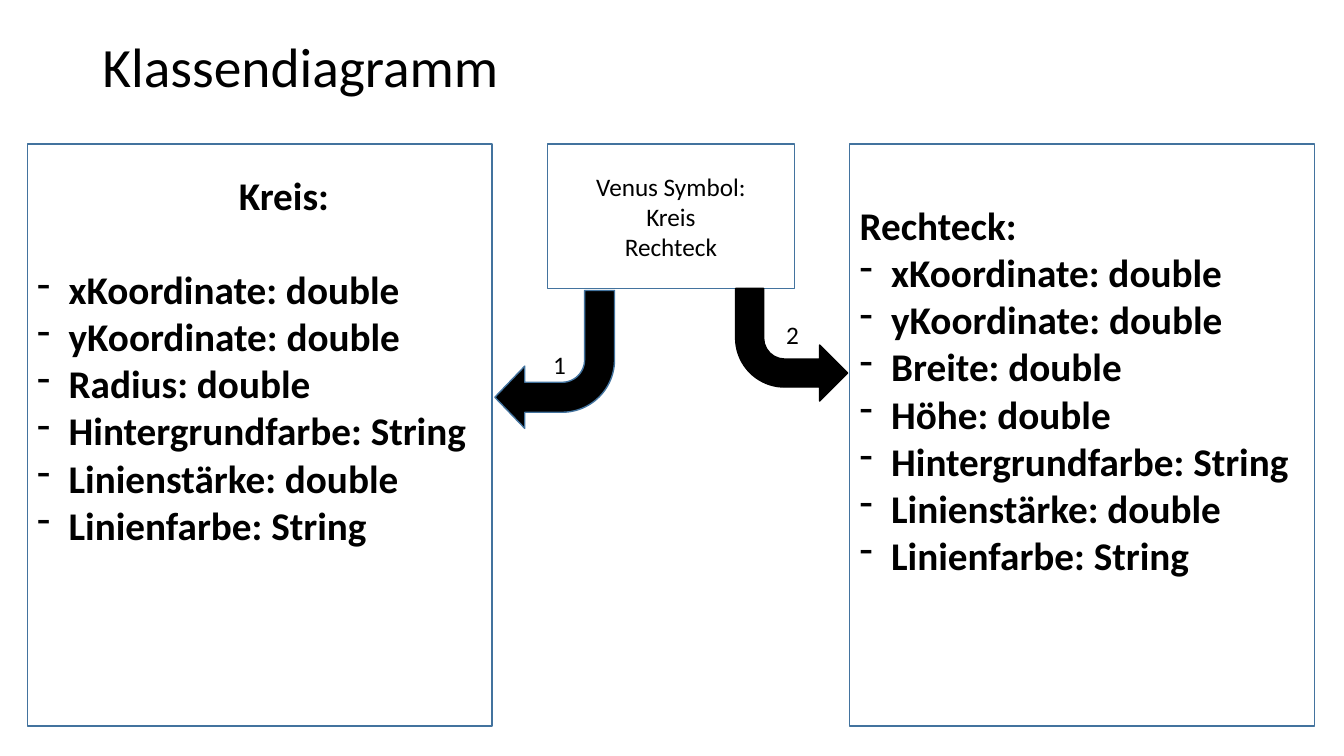
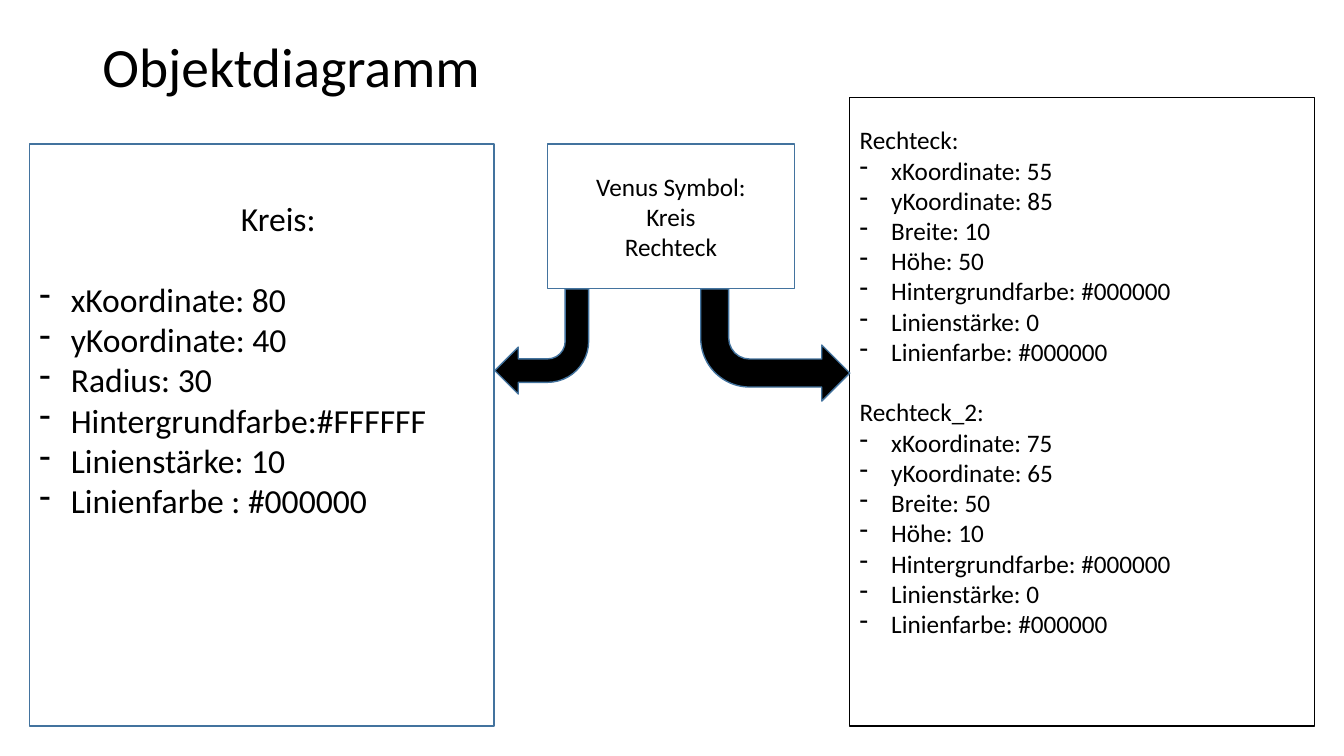
from lxml import etree
from pptx import Presentation
from pptx.dml.color import RGBColor
from pptx.enum import shapes, text
from pptx.oxml.ns import qn
from pptx.util import Pt

COLORS = {"ink": "000000", "paper": "FFFFFF", "border": "43739E"}
FONT = "Calibri"
INDENT = 22.5
PANEL_WIDTH, PANEL_TOP, PANEL_BOTTOM = 332, 103, 518.5
RIGHT_PANEL = 607


def color(name):
    return RGBColor.from_string(COLORS[name])


def write(paragraph, content, size=18, bold=False, align=text.PP_ALIGN.LEFT,
          left=0, before=0, after=0, spacing=None, bullet=None):
    paragraph.alignment = align
    paragraph.space_before = Pt(before)
    paragraph.space_after = Pt(after)
    if spacing:
        paragraph.line_spacing = spacing
    run = paragraph.add_run()
    run.text = content
    run.font.name = FONT
    run.font.size = Pt(size)
    run.font.bold = bold
    run.font.color.rgb = color("ink")
    properties = paragraph._p.get_or_add_pPr()
    properties.set("marL", str(Pt(INDENT if bullet else left)))
    properties.set("indent", str(Pt(-INDENT if bullet else 0)))
    if bullet:
        etree.SubElement(properties, qn("a:buChar")).set("char", bullet)


def write_lines(frame, lines):
    for number, (content, style) in enumerate(lines):
        paragraph = frame.add_paragraph() if number else frame.paragraphs[0]
        write(paragraph, content, **style)


def add_form(slide, kind, bounds, fill, line):
    form = slide.shapes.add_shape(kind, *map(Pt, bounds))
    form.shadow.inherit = False
    form.fill.solid()
    form.fill.fore_color.rgb = color(fill)
    form.line.color.rgb = color(line)
    form.line.width = Pt(1)
    return form


def add_box(slide, bounds, lines, line="border", top=None):
    box = add_form(slide, shapes.MSO_SHAPE.RECTANGLE, bounds, "paper", line)
    frame = box.text_frame
    frame.word_wrap = True
    frame.vertical_anchor = text.MSO_ANCHOR.MIDDLE
    if top is not None:
        frame.vertical_anchor = text.MSO_ANCHOR.TOP
        frame.margin_top = Pt(top)
    write_lines(frame, lines)


def add_panel(slide, left, sections, size, inset, bold=False, line="border",
              heading_left=0, heading_after=0, top=PANEL_TOP):
    lines = []
    for number, (heading, attributes) in enumerate(sections):
        lines.append((heading, dict(size=size, bold=bold, left=heading_left,
                                    before=size * 1.2 if number else 0,
                                    after=heading_after)))
        lines += [(attribute, dict(size=size, bold=bold, bullet="-"))
                  for attribute in attributes]
    bounds = (left, top, PANEL_WIDTH, PANEL_BOTTOM - top)
    add_box(slide, bounds, lines, line, inset)


def add_circle_panel(slide, left, attributes, size, inset, bold=False):
    add_panel(slide, left, [("Kreis:", attributes)], size, inset, bold,
              heading_left=144, heading_after=size * 1.2)


def add_bent_arrow(slide, bounds, to_left=False, line="border", head=0.25):
    arrow = add_form(slide, shapes.MSO_SHAPE.BENT_ARROW, bounds, "ink", line)
    arrow.adjustments[1] = head
    transform = arrow.element.spPr.get_or_add_xfrm()
    transform.set("flipV", "1")
    if to_left:
        transform.set("flipH", "1")


def add_label(slide, left, top, content):
    label = slide.shapes.add_textbox(Pt(left), Pt(top), Pt(30), Pt(29))
    label.text_frame.word_wrap = True
    write(label.text_frame.paragraphs[0], content)


def add_diagram(deck, heading):
    slide = deck.slides.add_slide(deck.slide_layouts[5])
    title = slide.shapes.title
    title.left, title.top, title.width, title.height = map(Pt, (66, 29, 827, 41))
    frame = title.text_frame
    frame.auto_size = text.MSO_AUTO_SIZE.NONE
    frame.vertical_anchor = text.MSO_ANCHOR.MIDDLE
    write(frame.paragraphs[0], heading, size=39.6, spacing=0.9)
    centered = dict(align=text.PP_ALIGN.CENTER)
    add_box(slide, (391, PANEL_TOP, 176.5, 103),
            [(part, centered) for part in ("Venus Symbol:", "Kreis", "Rechteck")])
    return slide


def add_class_diagram(deck):
    slide = add_diagram(deck, "Klassendiagramm")
    position = ["xKoordinate: double", "yKoordinate: double"]
    style = ["Hintergrundfarbe: String", "Linienstärke: double", "Linienfarbe: String"]
    add_circle_panel(slide, 19.5, position + ["Radius: double"] + style,
                     28, 19.5, bold=True)
    rectangle = position + ["Breite: double", "Höhe: double"] + style
    add_panel(slide, RIGHT_PANEL, [("Rechteck:", rectangle)], 28, 41, bold=True)
    add_bent_arrow(slide, (525.5, 206, 80, 80.5), line="ink")
    add_bent_arrow(slide, (353.5, 207.5, 85.5, 98.5), to_left=True, head=0.26)
    add_label(slide, 388, 246, "1")
    add_label(slide, 554.5, 224.5, "2")


def rectangle_values(x, y, width, height):
    return [f"xKoordinate: {x}", f"yKoordinate: {y}", f"Breite: {width}",
            f"Höhe: {height}", "Hintergrundfarbe: #000000", "Linienstärke: 0",
            "Linienfarbe: #000000"]


def add_object_diagram(deck):
    slide = add_diagram(deck, "Objektdiagramm")
    circle = ["xKoordinate: 80", "yKoordinate: 40", "Radius: 30",
              "Hintergrundfarbe:#FFFFFF", "Linienstärke: 10", "Linienfarbe : #000000"]
    add_circle_panel(slide, 21, circle, 24, 38.5)
    rectangles = [("Rechteck:", rectangle_values(55, 85, 10, 50)),
                  ("Rechteck_2:", rectangle_values(75, 65, 50, 10))]
    add_panel(slide, RIGHT_PANEL, rectangles, 18, 19.5, line="ink", top=69.5)
    add_bent_arrow(slide, (353.5, 206.5, 67, 75), to_left=True)
    add_bent_arrow(slide, (500.5, 206.5, 106.5, 80))


def main():
    deck = Presentation()
    deck.slide_width, deck.slide_height = Pt(960), Pt(540)
    add_class_diagram(deck)
    add_object_diagram(deck)
    deck.save("out.pptx")


if __name__ == "__main__":
    main()
